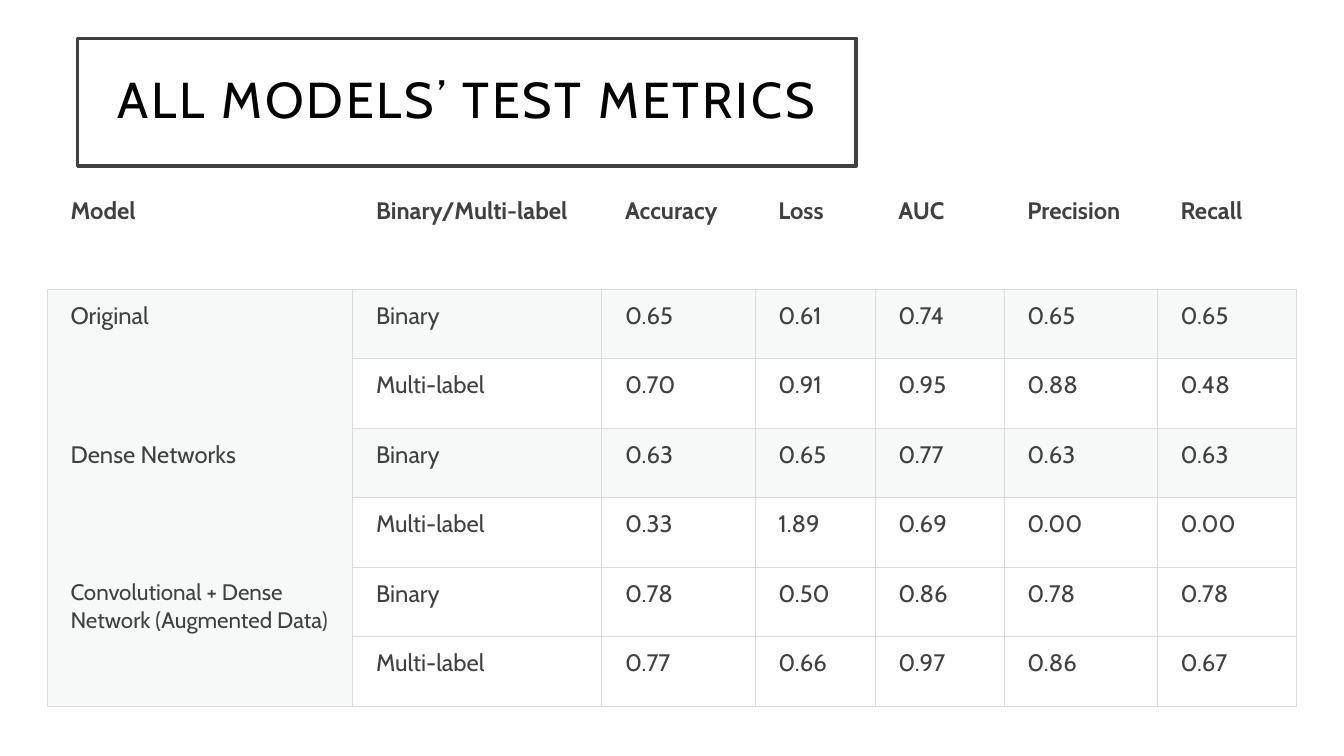
from lxml.etree import SubElement
from pptx import Presentation
from pptx.dml.color import RGBColor
from pptx.enum.shapes import MSO_SHAPE
from pptx.enum.text import MSO_ANCHOR, PP_ALIGN
from pptx.oxml.ns import qn
from pptx.util import Inches, Pt

FONT = "Cabin"
INK = "404040"
GRID = "D8DCDC"
TINT = "D8DEDC"

HEADS = ["Model", "Binary/Multi-label", "Accuracy", "Loss", "AUC",
         "Precision", "Recall"]
KINDS = ["Binary", "Multi-label"]
MODELS = [
    ("Original", 17, ["0.65 0.61 0.74 0.65 0.65",
                      "0.70 0.91 0.95 0.88 0.48"]),
    ("Dense Networks", 17, ["0.63 0.65 0.77 0.63 0.63",
                            "0.33 1.89 0.69 0.00 0.00"]),
    ("Convolutional + Dense Network (Augmented Data)", 16,
     ["0.78 0.50 0.86 0.78 0.78", "0.77 0.66 0.97 0.86 0.67"]),
]
WIDTHS = [3.03, 2.47, 1.52, 1.19, 1.28, 1.52, 1.38]
HEAD_H, ROW_H = 1.04, 0.69


def color(code):
    return RGBColor.from_string(code)


def add_run(para, text, size, code, bold=False):
    run = para.add_run()
    run.text = text
    font = run.font
    font.name, font.size, font.bold = FONT, Pt(size), bold
    font.color.rgb = color(code)
    return run


def add_title(slide, text, left, top, width, height):
    box = slide.shapes.add_shape(MSO_SHAPE.RECTANGLE, Inches(left),
                                 Inches(top), Inches(width), Inches(height))
    box.shadow.inherit = False
    box.fill.solid()
    box.fill.fore_color.rgb = color("FFFFFF")
    box.line.color.rgb = color(INK)
    box.line.width = Pt(2.5)
    frame = box.text_frame
    frame.word_wrap = True
    frame.vertical_anchor = MSO_ANCHOR.MIDDLE
    para = frame.paragraphs[0]
    para.alignment = PP_ALIGN.CENTER
    para.line_spacing = 0.9
    run = add_run(para, text, 36, "000000")
    run.font._element.set("spc", "200")


def set_edges(cell, sides):
    """Rule the given sides (letters of LRTB) and clear the others."""
    props = cell._tc.get_or_add_tcPr()
    for side in "LRTB":
        line = SubElement(props, qn(f"a:ln{side}"), w=str(Pt(0.75)))
        if side in sides:
            fill = SubElement(line, qn("a:solidFill"))
            SubElement(fill, qn("a:srgbClr"), val=GRID)
        else:
            SubElement(line, qn("a:noFill"))


def set_fill(cell, tinted):
    if not tinted:
        cell.fill.background()
        return
    cell.fill.solid()
    cell.fill.fore_color.rgb = color(TINT)
    tone = cell._tc.tcPr.find(f".//{qn('a:solidFill')}[last()]")
    tone = cell._tc.tcPr.find(qn("a:solidFill")).find(qn("a:srgbClr"))
    SubElement(tone, qn("a:alpha"), val="20000")


def style_cell(cell, sides, tinted=False):
    cell.margin_left = Inches(0.23)
    cell.margin_right = cell.margin_top = cell.margin_bottom = Inches(0.12)
    set_edges(cell, sides)
    set_fill(cell, tinted)


def write(cell, text, size=17, bold=False):
    add_run(cell.text_frame.paragraphs[0], text, size, INK, bold)


def add_metrics(slide, left, top):
    count = len(MODELS) * len(KINDS)
    table = slide.shapes.add_table(
        count + 1, len(WIDTHS), Inches(left), Inches(top),
        Inches(sum(WIDTHS)), Inches(HEAD_H + count * ROW_H)).table
    table.first_row = table.horz_banding = False
    for col, width in zip(table.columns, WIDTHS):
        col.width = Inches(width)
    for idx, row in enumerate(table.rows):
        row.height = Inches(ROW_H if idx else HEAD_H)

    for col, head in enumerate(HEADS):
        style_cell(table.cell(0, col), "B")
        write(table.cell(0, col), head, bold=True)

    last = len(MODELS) - 1
    for group, (name, size, scores) in enumerate(MODELS):
        first = 1 + group * len(KINDS)
        sides = "LR" + "T" * (group == 0) + "B" * (group == last)
        for step, (kind, values) in enumerate(zip(KINDS, scores)):
            row = first + step
            style_cell(table.cell(row, 0), sides, True)
            shaded = step == 0 and group != last
            for col, text in enumerate([kind, *values.split()], 1):
                style_cell(table.cell(row, col), "LRTB", shaded)
                write(table.cell(row, col), text)
        table.cell(first, 0).merge(table.cell(first + len(KINDS) - 1, 0))
        write(table.cell(first, 0), name, size)


def main():
    deck = Presentation()
    deck.slide_width, deck.slide_height = Inches(13.33), Inches(7.5)
    slide = deck.slides.add_slide(deck.slide_layouts[6])
    add_title(slide, "ALL MODELS’ TEST METRICS", 0.77, 0.38, 7.72, 1.27)
    add_metrics(slide, 0.47, 1.83)
    deck.save("out.pptx")


if __name__ == "__main__":
    main()
